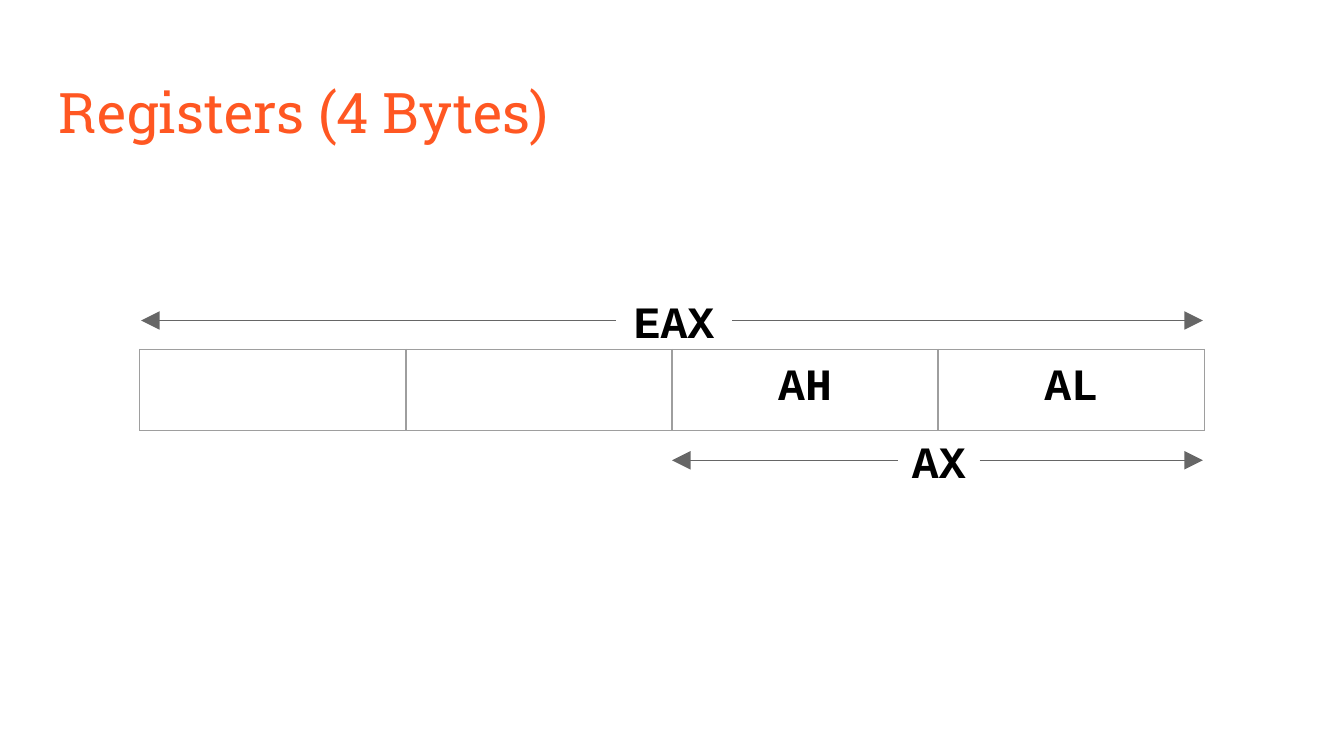
from dataclasses import dataclass

from lxml import etree
from pptx import Presentation
from pptx.dml.color import RGBColor
from pptx.enum import shapes, text
from pptx.oxml import ns
from pptx.util import Inches, Pt

ORANGE, BLACK, GRAY, BORDER = "FF5722", "000000", "666666", "9E9E9E"
MARGIN = Inches(0.1)
BYTE_WIDTH = 1.98
TABLE_LEFT, TABLE_TOP, ROW_HEIGHT = 1.04, 2.6, 0.42
LABEL_HEIGHT = 0.43


@dataclass
class Span:
    """A register name with arrows reaching out to both ends of its bytes."""
    name: str
    label_left: float
    label_top: float
    label_width: float
    start: float
    end: float


BYTE_NAMES = ["", "", "AH", "AL"]
SPANS = [
    Span("AX", 6.68, 3.21, 0.61, 5.0, 8.95),
    Span("EAX", 4.58, 2.17, 0.87, 1.05, 8.95),
]


def colour(value: str) -> RGBColor:
    return RGBColor.from_string(value)


def set_margins(holder) -> None:
    holder.margin_left = holder.margin_right = MARGIN
    holder.margin_top = holder.margin_bottom = MARGIN


def write(para, words: str, font: str, size: int, fill: str, bold: bool = False) -> None:
    span = para.add_run()
    span.text = words
    span.font.name = font
    span.font.size = Pt(size)
    span.font.bold = bold
    span.font.color.rgb = colour(fill)


def write_register(para, name: str) -> None:
    para.alignment = text.PP_ALIGN.CENTER
    write(para, name, "Courier New", 24, BLACK, bold=True)


def add_box(parent, left: float, top: float, width: float, height: float):
    box = parent.add_textbox(Inches(left), Inches(top), Inches(width), Inches(height))
    box.text_frame.word_wrap = True
    set_margins(box.text_frame)
    return box


def set_borders(cell) -> None:
    properties = cell._tc.get_or_add_tcPr()
    for index, side in enumerate(("lnL", "lnR", "lnT", "lnB")):
        line = etree.Element(ns.qn(f"a:{side}"), w=str(Pt(0.75)))
        fill = etree.SubElement(line, ns.qn("a:solidFill"))
        etree.SubElement(fill, ns.qn("a:srgbClr"), val=BORDER)
        properties.insert(index, line)


def add_register_table(page) -> None:
    frame = page.shapes.add_table(
        1, len(BYTE_NAMES), Inches(TABLE_LEFT), Inches(TABLE_TOP),
        Inches(BYTE_WIDTH * len(BYTE_NAMES)), Inches(ROW_HEIGHT))
    table = frame.table
    table.first_row = table.horz_banding = False
    for cell, name in zip(table.iter_cells(), BYTE_NAMES):
        set_margins(cell)
        cell.fill.background()
        set_borders(cell)
        if name:
            write_register(cell.text_frame.paragraphs[0], name)


def add_arrow(parent, box, side: int, end: float) -> None:
    """Draw a level arrow from a side of the box to the given x."""
    start = box.left if side == 1 else box.left + box.width
    middle = box.top + box.height // 2
    arrow = parent.add_connector(
        shapes.MSO_CONNECTOR.STRAIGHT, start, middle, Inches(end), middle)
    arrow.begin_connect(box, side)
    arrow.line.color.rgb = colour(GRAY)
    arrow.line.width = Pt(0.75)
    properties = arrow.element.spPr
    line = properties.find(ns.qn("a:ln"))
    etree.SubElement(line, ns.qn("a:tailEnd"), type="triangle", w="lg", len="lg")
    etree.SubElement(properties, ns.qn("a:effectLst"))


def add_span(page, span: Span) -> None:
    group = page.shapes.add_group_shape().shapes
    box = add_box(group, span.label_left, span.label_top, span.label_width, LABEL_HEIGHT)
    box.text_frame.vertical_anchor = text.MSO_ANCHOR.MIDDLE
    write_register(box.text_frame.paragraphs[0], span.name)
    add_arrow(group, box, 1, span.start)
    add_arrow(group, box, 3, span.end)


def main() -> None:
    deck = Presentation()
    deck.slide_width = Inches(10)
    deck.slide_height = deck.slide_width * 9 // 16
    page = deck.slides.add_slide(deck.slide_layouts[6])
    title = add_box(page.shapes, 0.34, 0.48, 9.32, 0.63)
    write(title.text_frame.paragraphs[0], "Registers (4 Bytes)", "Roboto Slab", 30, ORANGE)
    add_register_table(page)
    for span in SPANS:
        add_span(page, span)
    deck.save("out.pptx")


if __name__ == "__main__":
    main()
